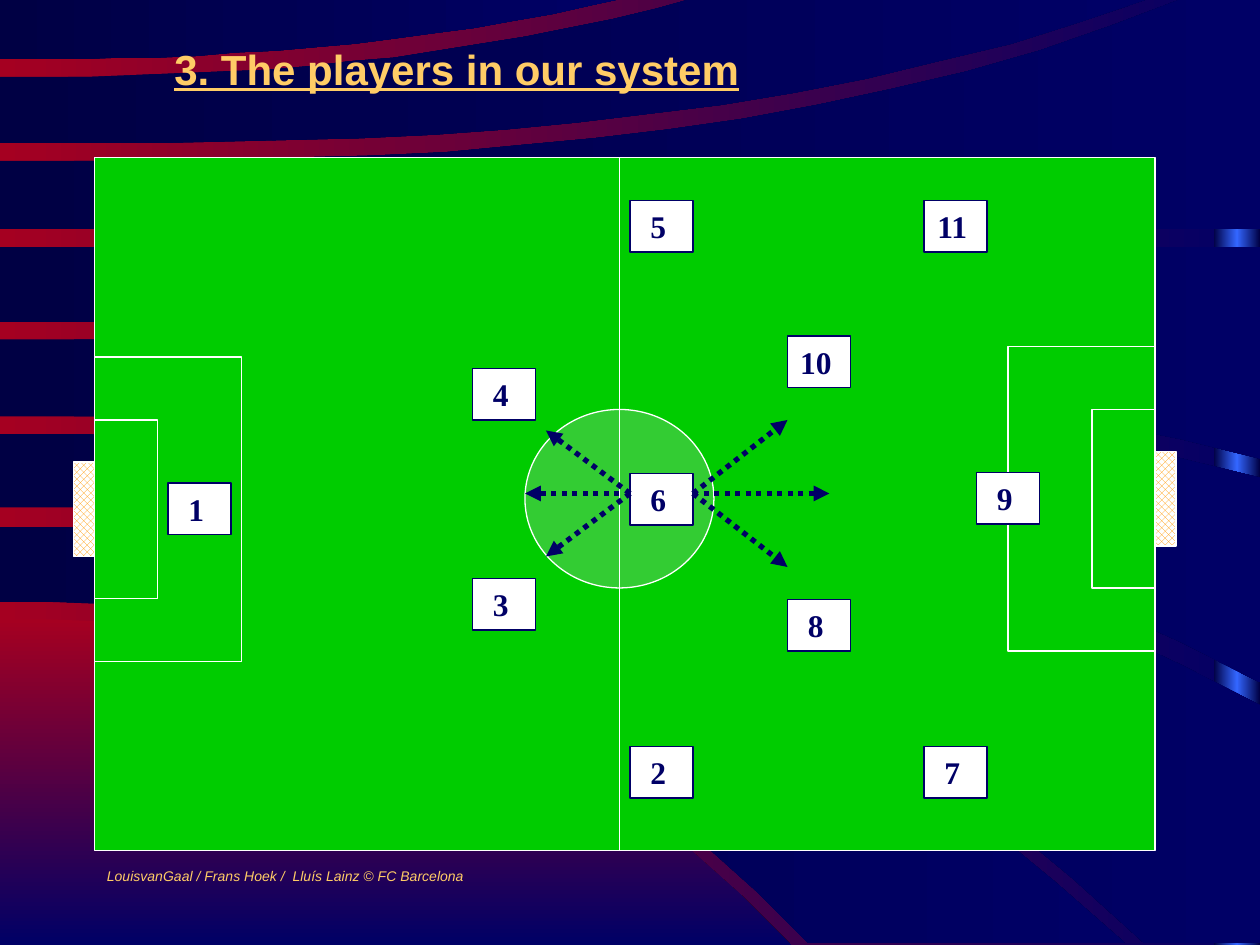
from copy import deepcopy
from pptx import Presentation
from pptx.dml.color import RGBColor
from pptx.enum.dml import MSO_LINE, MSO_PATTERN
from pptx.enum.shapes import MSO_CONNECTOR, MSO_SHAPE
from pptx.enum.text import MSO_ANCHOR, MSO_AUTO_SIZE, PP_ALIGN
from pptx.oxml.ns import qn
from pptx.util import Pt

RECT, OVAL = MSO_SHAPE.RECTANGLE, MSO_SHAPE.OVAL
LINE = MSO_CONNECTOR.STRAIGHT
DOTS = MSO_LINE.ROUND_DOT
NET = MSO_PATTERN.OUTLINED_DIAMOND
MID, CENTER = MSO_ANCHOR.MIDDLE, PP_ALIGN.CENTER
FIXED = MSO_AUTO_SIZE.NONE

THEME = {
    "red": "A50021", "navy": "000066", "dark": "000044", "blue": "3366FF",
    "grass": "00CC00", "spot": "33CC33", "white": "FFFFFF",
    "gold": "FFCC66", "net": "FF9900",
    "sans": "Arial", "serif": "Times New Roman",
    "head": 24, "digit": 18, "note": 8, "thin": 0.75, "thick": 3,
}

TITLE = "3. The players in our system"
CREDIT = "LouisvanGaal / Frans Hoek /  Lluís Lainz © FC Barcelona"

WIDE, HIGH = 720, 540
STEPS = 16
CORNER = ((353.5, 452, HIGH, 2.5), (HIGH, 452, HIGH, 1))
BANDS = [
    ((301, 643, 539, 2.5), (343.5, 462, 539, 2.5)),
    ((248, WIDE, 403, 2.5), (290, 654, 539, 2.5)),
    ((193.5, WIDE, 273, 2.25), (237.5, WIDE, 390, 2.5)),
    ((141, WIDE, 141, 1), (183.5, WIDE, 262, 2.25)),
    ((92, 679, -1.5, 2.9), (131, WIDE, 131, 1)),
    ((44, 400, -1.5, 2.4), (82, 660, -1.5, 2.8)),
    ((-1.5, 361, -1.5, 1), (34, 361, -1.5, 2.3)),
]

LEFT, TOP, LONG, TALL = 54, 90, 606, 396
RIGHT = LEFT + LONG
HALF = 354
AREAS = [(84, 174), (36, 102)]
GOAL = (12, 54)
CIRCLE = (108, 102)
CARD = (36, 29.5)
TEAM = {
    96: [("1", 276)],
    270: [("4", 210.5), ("3", 330.5)],
    360: [("5", 114.5), ("6", 270.5), ("2", 426.5)],
    450: [("10", 192), ("8", 342.5)],
    528: [("11", 114.5), ("7", 426.5)],
    558: [("9", 270)],
}
HUB = 282
RUNS = [(360, 312, 36), (360, 312, -36), (354, 300, 0),
        (396, 450, 42), (396, 450, -42), (396, 474, 0)]


def tint(name):
    return RGBColor.from_string(THEME[name])


def blend(fill, node, names, turn=0):
    fill.gradient()
    fill.gradient_angle = turn
    stops = next(node.iter(qn("a:gsLst")))
    for _ in names[2:]:
        stops.append(deepcopy(stops[0]))
    for i, (stop, name) in enumerate(zip(fill.gradient_stops, names)):
        stop.color.rgb = tint(name)
        stop.position = i / (len(names) - 1)


def stroke(line, name, width="thin"):
    line.color.rgb = tint(name)
    line.width = Pt(THEME[width])


def block(kind, area, line=None, fill=None):
    shape = shapes.add_shape(kind, *map(Pt, area))
    shape.shadow.inherit = False
    if line:
        stroke(shape.line, line)
    else:
        shape.line.fill.background()
    if fill:
        shape.fill.solid()
        shape.fill.fore_color.rgb = tint(fill)
    return shape


def trace(start, reach, end, bend):
    parts = [i / STEPS for i in range(STEPS + 1)]
    return [(reach * t, start + (end - start) * t ** bend) for t in parts]


def curve(edges, names, turn=0):
    upper, lower = (trace(*edge) for edge in edges)
    near, far = sorted([upper[-1], lower[-1]])
    dots = upper + [(far[0], near[1])] + lower[::-1]
    path = shapes.build_freeform(*dots[0], scale=Pt(1))
    path.add_line_segments(dots[1:], close=True)
    shape = path.convert_to_shape()
    shape.shadow.inherit = False
    shape.line.fill.background()
    blend(shape.fill, shape._element, names, turn)


def link(x1, y1, x2, y2, name, width="thin"):
    line = shapes.add_connector(LINE, *map(Pt, (x1, y1, x2, y2)))
    stroke(line.line, name, width)
    props = line._element.spPr
    props.append(props.makeelement(qn("a:effectLst"), {}))
    return line


def write(shape, text, size, face, color, **style):
    frame = shape.text_frame
    frame.text = text
    font = frame.paragraphs[0].runs[0].font
    font.size, font.name = Pt(THEME[size]), THEME[face]
    font.color.rgb = tint(color)
    for key, value in style.items():
        setattr(font, key, value)
    return frame


deck = Presentation()
deck.slide_width, deck.slide_height = Pt(WIDE), Pt(HIGH)
slide = deck.slides.add_slide(deck.slide_layouts[5])
shapes = slide.shapes

blend(slide.background.fill, slide._element, ["red", "navy"])
glow = block(RECT, (693.5, 0, 26.5, HIGH))
blend(glow.fill, glow._element, ["dark", "blue", "dark"])
curve(CORNER, ["red", "navy"], 270)
for band in BANDS:
    curve(band, ["dark", "navy"])

block(RECT, (LEFT, TOP, LONG, TALL), "white", "grass")
for deep, span in AREAS:
    for x, mid in ((LEFT, 291), (RIGHT - deep, 285)):
        block(RECT, (x, mid - span / 2, deep, span), "white", "grass")
block(OVAL, (HALF - CIRCLE[0] / 2, 234, *CIRCLE), "white", "spot")
link(HALF, TOP, HALF, TOP + TALL, "white")
for x, y in ((LEFT - GOAL[0], 264), (RIGHT, 258)):
    goal = block(RECT, (x, y, *GOAL), "white")
    goal.fill.patterned()
    goal.fill.pattern = NET
    goal.fill.fore_color.rgb = tint("net")
    goal.fill.back_color.rgb = tint("white")

for x, column in TEAM.items():
    for digit, y in column:
        card = block(RECT, (x, y, *CARD), "navy", "white")
        frame = write(card, digit, "digit", "serif", "navy", bold=True)
        frame.margin_left, frame.margin_right = Pt(5.2), Pt(8.8)
        frame.word_wrap = False
        frame.vertical_anchor = MID
        frame.paragraphs[0].alignment = CENTER

note = shapes.add_textbox(Pt(LEFT), Pt(492), Pt(219), Pt(16.5))
write(note, CREDIT, "note", "sans", "gold", italic=True).word_wrap = False

for x, end, rise in RUNS:
    arrow = link(x, HUB, end, HUB - rise, "navy", "thick")
    arrow.line.dash_style = DOTS
    edge = next(arrow._element.iter(qn("a:ln")))
    edge.append(edge.makeelement(qn("a:tailEnd"), {"type": "triangle"}))

title = shapes.title
title.left, title.top, title.width, title.height = map(Pt, (18, 18, 486, 42))
frame = write(title, TITLE, "head", "sans", "gold", bold=True, underline=True)
frame.auto_size = FIXED
frame.word_wrap = True
frame.vertical_anchor = MID
frame.paragraphs[0].alignment = CENTER
shapes._spTree.append(title._element)

deck.save("out.pptx")
